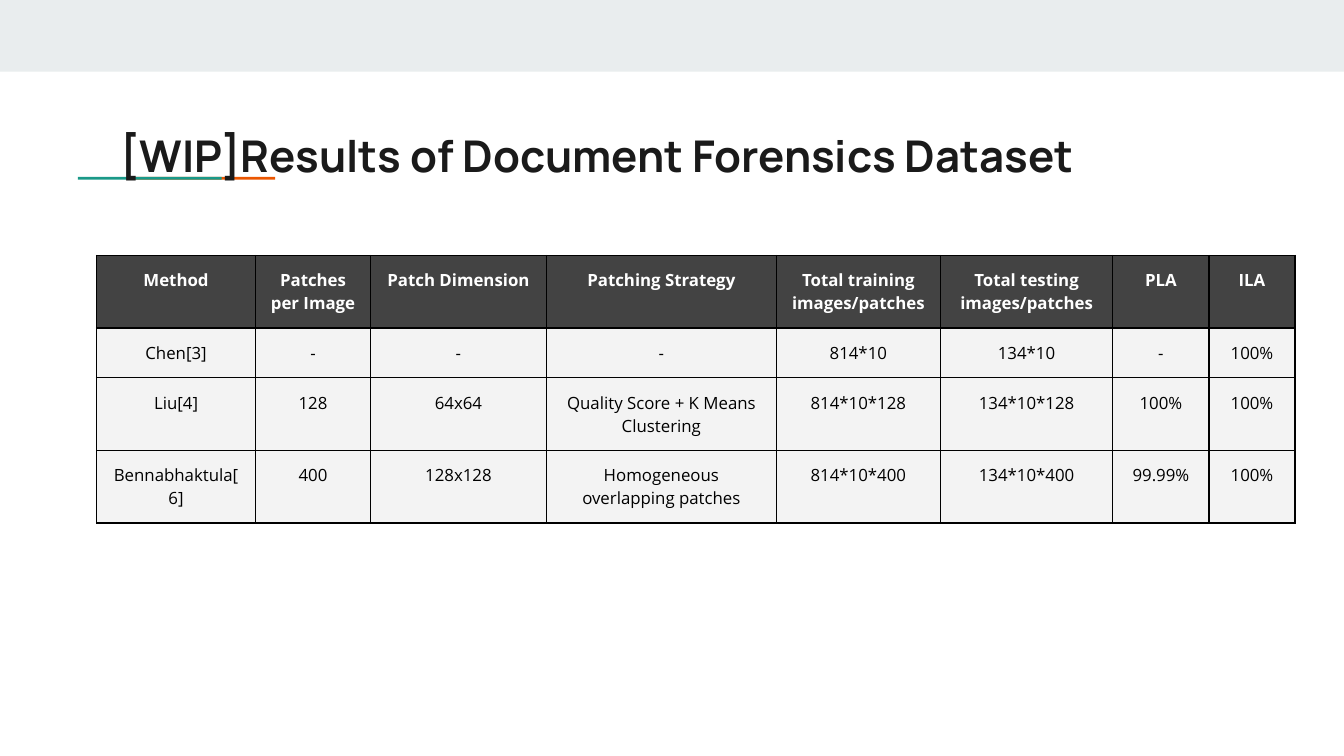
"""Build the slide with the results table of the document forensics dataset."""
from lxml import etree
from pptx import Presentation
from pptx.dml.color import RGBColor
from pptx.enum import shapes, text
from pptx.oxml import ns
from pptx.util import Pt

COLORS = {"band": "E9EDEE", "orange": "EB5600", "teal": "1A9988", "title": "1A1A1A",
          "head": "434343", "head_text": "FFFFFF", "body": "F3F3F3", "ink": "000000"}


def style_text(frame, align, color, **font_values):
    paragraph = frame.paragraphs[0]
    paragraph.alignment = align
    for name, value in font_values.items():
        setattr(paragraph.font, name, value)
    paragraph.font.color.rgb = RGBColor.from_string(COLORS[color])


def add_border(cell, side):
    line = etree.SubElement(cell._tc.get_or_add_tcPr(), ns.qn(f"a:{side}"), w=str(Pt(0.75)))
    fill = etree.SubElement(line, ns.qn("a:solidFill"))
    etree.SubElement(fill, ns.qn("a:srgbClr"), val=COLORS["ink"])


deck = Presentation()
deck.slide_width, deck.slide_height = Pt(720), Pt(405)
slide = deck.slides.add_slide(deck.slide_layouts[5])

for color, left, top, width, height in [("band", 0, 0, 720, 38.4),
                                        ("orange", 70.4, 94.8, 77, 1.5),
                                        ("teal", 41.8, 94.8, 77, 1.5)]:
    bar = slide.shapes.add_shape(shapes.MSO_SHAPE.RECTANGLE,
                                 Pt(left), Pt(top), Pt(width), Pt(height))
    bar.shadow.inherit = False
    bar.fill.solid()
    bar.fill.fore_color.rgb = RGBColor.from_string(COLORS[color])
    bar.line.fill.background()

title = slide.shapes.title
title_place = {"left": Pt(57.6), "top": Pt(61.9), "width": Pt(605.5), "height": Pt(42.5)}
for name, value in title_place.items():
    setattr(title, name, value)
margins = {f"margin_{side}": Pt(7.2) for side in ("left", "right", "top", "bottom")}
title_format = {**margins, "word_wrap": True, "auto_size": text.MSO_AUTO_SIZE.NONE,
                "vertical_anchor": text.MSO_ANCHOR.TOP}
for name, value in title_format.items():
    setattr(title.text_frame, name, value)
title.text_frame.text = "[WIP]Results of Document Forensics Dataset"
style_text(title.text_frame, text.PP_ALIGN.LEFT, "title",
           name="Manrope", size=Pt(23.4), bold=True)
slide.shapes._spTree.append(title._element)

results = [
    ["Method", "Patches per Image", "Patch Dimension", "Patching Strategy",
     "Total training images/patches", "Total testing images/patches", "PLA", "ILA"],
    ["Chen[3]", "-", "-", "-", "814*10", "134*10", "-", "100%"],
    ["Liu[4]", "128", "64x64", "Quality Score + K Means Clustering",
     "814*10*128", "134*10*128", "100%", "100%"],
    ["Bennabhaktula[6]", "400", "128x128", "Homogeneous overlapping patches",
     "814*10*400", "134*10*400", "99.99%", "100%"],
]
column_widths = [85.2, 61.6, 94.2, 123.2, 87.9, 92.4, 51.6, 46]
row_heights = [38.6, 26.5, 38.9, 38.6]
table = slide.shapes.add_table(len(results), len(column_widths), Pt(51.7), Pt(136.8),
                               Pt(sum(column_widths)), Pt(sum(row_heights))).table
table.horz_banding = False
for column, width in zip(table.columns, column_widths):
    column.width = Pt(width)
for row, height, values in zip(table.rows, row_heights, results):
    row.height = Pt(height)
    is_head = values is results[0]
    for cell, value in zip(row.cells, values):
        cell.text = value
        for name, margin in margins.items():
            setattr(cell, name, margin)
        style_text(cell.text_frame, text.PP_ALIGN.CENTER, "head_text" if is_head else "ink",
                   name="Open Sans", size=Pt(9), bold=is_head)
        for side in ("lnL", "lnR", "lnT", "lnB"):
            add_border(cell, side)
        cell.fill.solid()
        cell.fill.fore_color.rgb = RGBColor.from_string(COLORS["head" if is_head else "body"])

deck.save("out.pptx")
